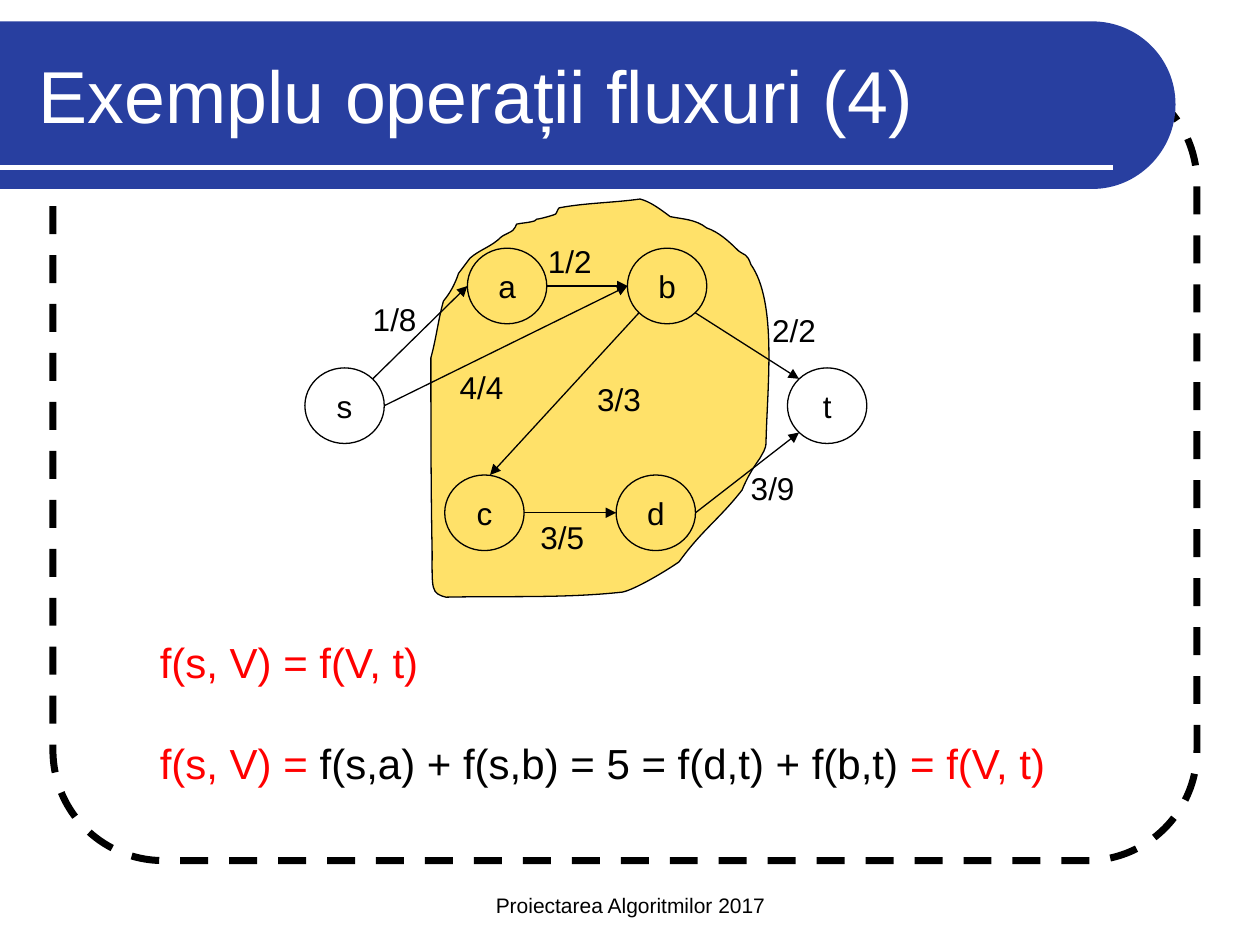
from dataclasses import dataclass
from lxml.etree import SubElement
from pptx import Presentation
from pptx.dml.color import RGBColor
from pptx.enum.dml import MSO_LINE
from pptx.enum.shapes import MSO_CONNECTOR, MSO_SHAPE
from pptx.enum.text import MSO_ANCHOR, PP_ALIGN
from pptx.oxml.ns import qn
from pptx.util import Emu, Pt

PX = 9144  # 100 px to the inch
BLACK = RGBColor(0, 0, 0)
WHITE = RGBColor(255, 255, 255)
RED = RGBColor(255, 0, 0)
BLUE = RGBColor(0x28, 0x3F, 0xA0)
GOLD = RGBColor(0xFF, 0xCC, 0x00)
WIDE, HIGH = 63, 60  # node size


@dataclass
class Run:
    text: str
    size: int
    color: RGBColor = BLACK


@dataclass
class Node:
    name: str
    x: int
    y: int


@dataclass
class Edge:
    start: str
    out: tuple  # direction from the node's centre, in radii
    end: str
    into: tuple


@dataclass
class Label:
    text: str
    x: int
    y: int
    wide: int = 55


def px(*vals: int) -> list:
    return [Emu(round(v * PX)) for v in vals]


def write(frame, lines: list, align=PP_ALIGN.LEFT, gap: int = 0) -> None:
    for i, line in enumerate(lines):
        para = frame.add_paragraph() if i else frame.paragraphs[0]
        para.alignment = align
        if i:
            para.space_before = Pt(gap)
        for part in line:
            run = para.add_run()
            run.text = part.text
            run.font.name = "Arial"
            run.font.size = Pt(part.size)
            run.font.color.rgb = part.color
            run._r.get_or_add_rPr().set("kern", "0")


def add_text(shapes, box: tuple, lines: list, wrap: bool = True,
             anchor=MSO_ANCHOR.TOP, align=PP_ALIGN.LEFT, gap: int = 0) -> None:
    frame = shapes.add_textbox(*px(*box)).text_frame
    frame.word_wrap = wrap
    frame.vertical_anchor = anchor
    write(frame, lines, align, gap)


def add_form(shapes, start: tuple, parts: list, fill: RGBColor):
    """Closed outline: two numbers give a line, six give two handles and an end."""
    ends = [part[-2:] for part in parts]
    pen = shapes.build_freeform(*start, scale=PX)
    pen.add_line_segments(ends, close=True)
    form = pen.convert_to_shape()
    left, top = (min(axis) for axis in zip(start, *ends))
    # Turn the segments that have handles into curves
    for seg, part in zip(list(form._element.iter(qn("a:lnTo"))), parts):
        if len(part) == 6:
            seg.tag = qn("a:cubicBezTo")
            seg.remove(seg[0])
            for x, y in zip(part[::2], part[1::2]):
                SubElement(seg, qn("a:pt"), x=str(x - left), y=str(y - top))
    form.shadow.inherit = False
    form.fill.solid()
    form.fill.fore_color.rgb = fill
    return form


def add_line(shapes, ends: tuple, color: RGBColor, width: float, arrow: bool = False) -> None:
    line = shapes.add_connector(MSO_CONNECTOR.STRAIGHT, *px(*ends))
    line.line.color.rgb = color
    line.line.width = Pt(width)
    if arrow:
        SubElement(line.line._get_or_add_ln(), qn("a:tailEnd"), type="triangle")
    SubElement(line._element.spPr, qn("a:effectLst"))


def add_node(shapes, node: Node) -> None:
    oval = shapes.add_shape(MSO_SHAPE.OVAL, *px(node.x, node.y, WIDE, HIGH))
    oval.shadow.inherit = False
    oval.fill.background()
    oval.line.color.rgb = BLACK
    oval.line.width = Pt(0.75)
    frame = oval.text_frame
    frame.margin_left = frame.margin_right = frame.margin_top = frame.margin_bottom = 0
    frame.word_wrap = False
    frame.vertical_anchor = MSO_ANCHOR.MIDDLE
    write(frame, [[Run(node.name, 18)]], PP_ALIGN.CENTER)


def spot(node: Node, way: tuple) -> tuple:
    return node.x + WIDE / 2 * (1 + way[0]), node.y + HIGH / 2 * (1 + way[1])


# Outline of the cut around a, b, c and d
CUT = [
    (401, 473, 448, 475, 494, 470), (504, 468, 529, 453, 539, 446),
    (557, 421, 571, 412, 589, 389), (593, 379, 598, 371, 603, 364),
    (605, 360, 608, 357, 608, 351), (609, 306, 617, 240, 596, 210),
    (593, 201, 591, 203, 586, 199), (578, 191, 570, 184, 561, 181),
    (552, 174, 542, 174, 532, 172), (524, 166, 516, 160, 508, 158),
    (487, 161, 465, 161, 444, 165), (443, 165, 442, 169, 441, 170),
    (439, 171, 428, 174, 426, 174), (425, 175, 424, 176, 422, 176),
    (418, 177, 414, 177, 410, 178), (409, 179, 409, 182, 407, 183),
    (406, 184, 399, 187, 398, 188), (390, 196, 381, 198, 373, 205),
    (370, 209, 364, 217, 364, 217), (361, 226, 357, 233, 352, 239),
    (348, 253, 346, 270, 342, 284), (342, 335, 342, 387, 343, 438),
    (343, 468, 342, 471, 354, 474),
]
BAND = [(867, 17), (903, 17, 933, 46, 933, 83), (933, 120, 903, 150, 867, 150), (0, 150)]

NODES = [Node("s", 242, 292), Node("a", 371, 197), Node("b", 498, 197),
         Node("d", 489, 377), Node("t", 625, 292), Node("c", 353, 377)]

DIAG = 0.71
LEFT, RIGHT = (-1, 0), (1, 0)
EDGES = [
    Edge("s", (DIAG, -DIAG), "a", LEFT),
    Edge("s", RIGHT, "b", LEFT),
    Edge("a", RIGHT, "b", LEFT),
    Edge("b", (-DIAG, DIAG), "c", (0.14, -1)),
    Edge("c", RIGHT, "d", LEFT),
    Edge("d", RIGHT, "t", (-DIAG, DIAG)),
    Edge("b", (DIAG, DIAG), "t", (-DIAG, -DIAG)),
]
LABELS = [Label("1/8", 286, 233), Label("4/4", 355, 287), Label("1/2", 425, 187, 90),
          Label("3/3", 464, 297), Label("2/2", 603, 242), Label("3/5", 419, 406),
          Label("3/9", 586, 367)]


def main() -> None:
    deck = Presentation()
    deck.slide_width, deck.slide_height = px(1000, 750)
    shapes = deck.slides.add_slide(deck.slide_layouts[6]).shapes

    # Dashed frame and title band
    frame = shapes.add_shape(MSO_SHAPE.ROUNDED_RECTANGLE, *px(42, 58, 908, 625))
    frame.adjustments[0] = 0.14
    frame.shadow.inherit = False
    frame.fill.background()
    frame.line.color.rgb = BLACK
    frame.line.width = Pt(4)
    frame.line.dash_style = MSO_LINE.DASH
    band = add_form(shapes, (0, 17), BAND, BLUE)
    band.line.fill.background()
    add_line(shapes, (0, 133, 883, 133), WHITE, 3)

    # Footer and title
    add_text(shapes, (342, 683, 317, 50), [[Run("Proiectarea Algoritmilor 2017", 12)]],
             anchor=MSO_ANCHOR.BOTTOM, align=PP_ALIGN.CENTER)
    add_text(shapes, (21, 25, 877, 100), [[Run("Exemplu operații fluxuri (4)", 42, WHITE)]],
             anchor=MSO_ANCHOR.MIDDLE)

    # Flow graph
    cut = add_form(shapes, (354, 474), CUT, GOLD)
    cut.line.color.rgb = BLACK
    cut.line.width = Pt(0.75)
    tint = cut._element.spPr.find(qn("a:solidFill"))[0]
    SubElement(tint, qn("a:alpha"), val="59000")
    for node in NODES:
        add_node(shapes, node)
    named = {node.name: node for node in NODES}
    for edge in EDGES:
        ends = spot(named[edge.start], edge.out) + spot(named[edge.end], edge.into)
        add_line(shapes, ends, BLACK, 0.75, arrow=True)
    for tag in LABELS:
        add_text(shapes, (tag.x, tag.y, tag.wide, 40), [[Run(tag.text, 18)]], wrap=tag.wide > 55)

    # Flow equations
    add_text(shapes, (117, 500, 733, 183), [
        [Run("f(s, V) = f(V, t)", 24, RED)],
        [Run("f(s, V) = ", 24, RED),
         Run("f(s,a) + f(s,b) = 5 = f(d,t) + f(b,t) ", 24),
         Run("= f(V, t)", 24, RED)],
    ], gap=29)

    deck.save("out.pptx")


if __name__ == "__main__":
    main()
